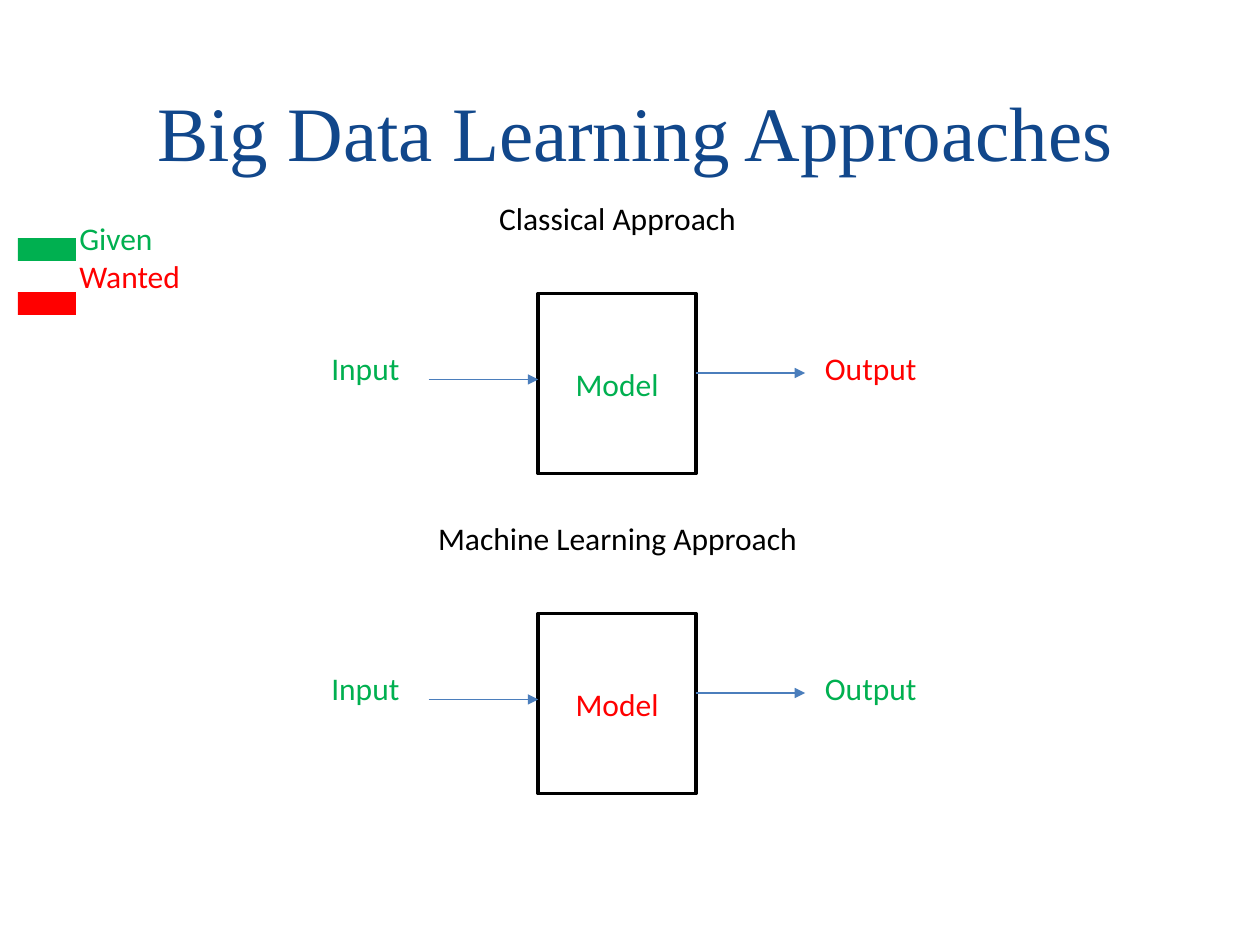
from lxml import etree
from pptx import Presentation
from pptx.dml.color import RGBColor
from pptx.enum.shapes import MSO_CONNECTOR, MSO_SHAPE
from pptx.enum.text import MSO_ANCHOR, PP_ALIGN
from pptx.oxml.ns import qn
from pptx.util import Cm, Pt

NAVY = RGBColor(0x11, 0x47, 0x8B)
GREEN = RGBColor(0x00, 0xB0, 0x50)
RED = RGBColor(0xFF, 0x00, 0x00)
BLACK = RGBColor(0x00, 0x00, 0x00)
WHITE = RGBColor(0xFF, 0xFF, 0xFF)
ARROW_BLUE = RGBColor(0x4B, 0x7E, 0xBC)

deck = Presentation()
deck.slide_width, deck.slide_height = Cm(25.4), Cm(19.05)
page = deck.slides.add_slide(deck.slide_layouts[6])


def write(box, lines, align=PP_ALIGN.LEFT, size=18, font="Calibri"):
    """Fill a box with (text, colour) lines, one paragraph each."""
    frame = box.text_frame
    frame.word_wrap = True
    for index, (text, color) in enumerate(lines):
        para = frame.add_paragraph() if index else frame.paragraphs[0]
        para.text = text
        para.alignment = align
        para.font.name = font
        para.font.size = Pt(size)
        para.font.color.rgb = color
    return frame


def add_block(left, top, width, height, fill):
    """Add a plain filled rectangle without outline or shadow."""
    block = page.shapes.add_shape(
        MSO_SHAPE.RECTANGLE, Cm(left), Cm(top), Cm(width), Cm(height))
    block.shadow.inherit = False
    block.fill.solid()
    block.fill.fore_color.rgb = fill
    block.line.fill.background()
    return block


# Title
title = page.shapes.add_textbox(Cm(1.22), Cm(1.27), Cm(23.19), Cm(2.72))
frame = write(title, [("Big Data Learning Approaches", NAVY)],
              PP_ALIGN.CENTER, 44, "Times New Roman")
frame.vertical_anchor = MSO_ANCHOR.MIDDLE

# One diagram per approach: heading, top, model colour, output colour
approaches = [
    ("Classical Approach", 3.89, GREEN, RED),
    ("Machine Learning Approach", 10.34, RED, GREEN),
]
for heading, top, model_color, output_color in approaches:
    # Model box
    model = add_block(10.85, top + 2.03, 3.18, 3.63, WHITE)
    model.line.color.rgb = BLACK
    model.line.width = Pt(2)
    frame = write(model, [("Model", model_color)], PP_ALIGN.CENTER)
    frame.vertical_anchor = MSO_ANCHOR.MIDDLE

    # Arrows into and out of the model
    for start, end, drop in [(8.64, 10.85, 3.76), (14.03, 16.23, 3.63)]:
        arrow = page.shapes.add_connector(
            MSO_CONNECTOR.STRAIGHT,
            Cm(start), Cm(top + drop), Cm(end), Cm(top + drop))
        arrow.line.color.rgb = ARROW_BLUE
        arrow.line.width = Pt(0.75)
        etree.SubElement(arrow.line._get_or_add_ln(), qn("a:tailEnd"),
                         type="triangle")
        etree.SubElement(arrow._element.spPr, qn("a:effectLst"))

    # Heading and labels
    labels = [
        ("Input", GREEN, 6.43, 3.02, 2.06, PP_ALIGN.LEFT),
        ("Output", output_color, 16.38, 3.02, 2.41, PP_ALIGN.LEFT),
        (heading, BLACK, 6.71, 0, 11.48, PP_ALIGN.CENTER),
    ]
    for text, color, left, drop, width, align in labels:
        label = page.shapes.add_textbox(
            Cm(left), Cm(top + drop), Cm(width), Cm(1.02))
        write(label, [(text, color)], align)

# Legend
legend = page.shapes.add_textbox(Cm(0.2), Cm(4.29), Cm(6.5), Cm(1.8))
frame = write(legend, [("Given", GREEN), ("Wanted", RED)])
frame.margin_left = Cm(1.4)
for top, color in [(4.8, GREEN), (5.89, RED)]:
    add_block(0.36, top, 1.17, 0.46, color)

deck.save("out.pptx")
